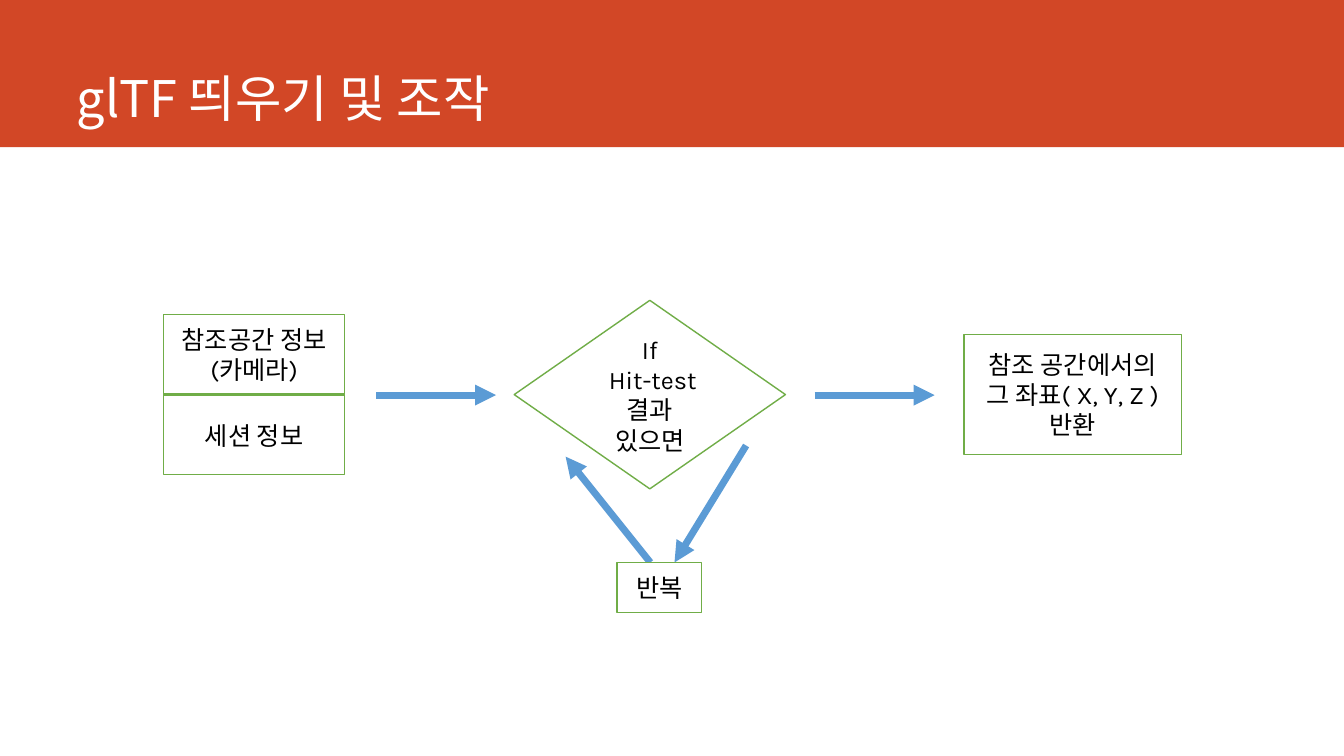
from lxml import etree
from pptx import Presentation
from pptx.dml.color import RGBColor
from pptx.enum.shapes import MSO_CONNECTOR, MSO_SHAPE
from pptx.enum.text import MSO_ANCHOR, MSO_AUTO_SIZE, PP_ALIGN
from pptx.oxml.ns import qn
from pptx.util import Inches, Pt

ORANGE = RGBColor(0xD2, 0x47, 0x26)
GREEN = RGBColor(0x70, 0xAD, 0x47)
BLUE = RGBColor(0x5B, 0x9B, 0xD5)
WHITE = RGBColor(0xFF, 0xFF, 0xFF)
BLACK = RGBColor(0x00, 0x00, 0x00)
TITLE_FONT = "Noto Sans CJK KR"
BODY_FONT = "Karla"
FLOW_Y = 3.92


def add_text(paragraph, text, font, size, color):
    run = paragraph.add_run()
    run.text = text
    run.font.name = font
    run.font.size = Pt(size)
    run.font.color.rgb = color
    # Korean letters take their own typeface
    latin = run.font._element.find(qn("a:latin"))
    east_asian = etree.Element(qn("a:ea"), typeface=TITLE_FONT)
    latin.addnext(east_asian)


def add_shape(slide, kind, box, fill, line=None):
    shape = slide.shapes.add_shape(kind, *map(Inches, box))
    shape.shadow.inherit = False
    shape.fill.solid()
    shape.fill.fore_color.rgb = fill
    if line is None:
        shape.line.fill.background()
    else:
        shape.line.color.rgb = line
        shape.line.width = Pt(1)
    return shape


def add_node(slide, box, lines, kind=MSO_SHAPE.RECTANGLE):
    frame = add_shape(slide, kind, box, WHITE, GREEN).text_frame
    frame.word_wrap = True
    frame.vertical_anchor = MSO_ANCHOR.MIDDLE
    for index, text in enumerate(lines):
        paragraph = frame.add_paragraph() if index else frame.paragraphs[0]
        paragraph.alignment = PP_ALIGN.CENTER
        add_text(paragraph, text, BODY_FONT, 18, BLACK)


def add_arrow(slide, start, end):
    arrow = slide.shapes.add_connector(
        MSO_CONNECTOR.STRAIGHT, *map(Inches, start + end))
    arrow.line.color.rgb = BLUE
    arrow.line.width = Pt(5)
    etree.SubElement(arrow.line._get_or_add_ln(), qn("a:tailEnd"), type="triangle")
    etree.SubElement(arrow.element.spPr, qn("a:effectLst"))


def add_title(slide, text):
    title = slide.shapes.title
    title.left, title.top, title.width, title.height = map(
        Inches, (0.66, 0, 11.76, 1.32))
    frame = title.text_frame
    frame.auto_size = MSO_AUTO_SIZE.NONE
    frame.word_wrap = True
    frame.vertical_anchor = MSO_ANCHOR.BOTTOM
    paragraph = frame.paragraphs[0]
    paragraph.alignment = PP_ALIGN.LEFT
    add_text(paragraph, text, TITLE_FONT, 36, WHITE)
    # Header band behind the title
    band = add_shape(slide, MSO_SHAPE.RECTANGLE, (0, 0, 13.33, 1.46), ORANGE)
    title.element.addprevious(band.element)


def main():
    presentation = Presentation()
    presentation.slide_width = Inches(13.33)
    presentation.slide_height = Inches(7.5)
    slide = presentation.slides.add_slide(presentation.slide_layouts[5])
    add_title(slide, "glTF 띄우기 및 조작")

    # Inputs
    add_node(slide, (1.62, 3.12, 1.8, 0.79), ["참조공간 정보", "(카메라)"])
    add_node(slide, (1.62, FLOW_Y, 1.8, 0.79), ["세션 정보"])

    # Decision
    add_node(slide, (5.1, 2.98, 2.69, 1.87),
             ["If", " Hit-test", "결과 있으면"], MSO_SHAPE.DIAMOND)

    # Main flow and result
    for left in (3.73, 8.08):
        add_arrow(slide, (left, FLOW_Y), (left + 1.19, FLOW_Y))
    add_node(slide, (9.56, 3.32, 2.16, 1.19),
             ["참조 공간에서의", "그 좌표( X, Y, Z ) 반환"])

    # Repeat loop
    add_arrow(slide, (7.4, 4.42), (6.69, 5.58))
    add_arrow(slide, (6.45, 5.58), (5.61, 4.53))
    add_node(slide, (6.12, 5.58, 0.84, 0.5), ["반복"])

    presentation.save("out.pptx")


if __name__ == "__main__":
    main()
